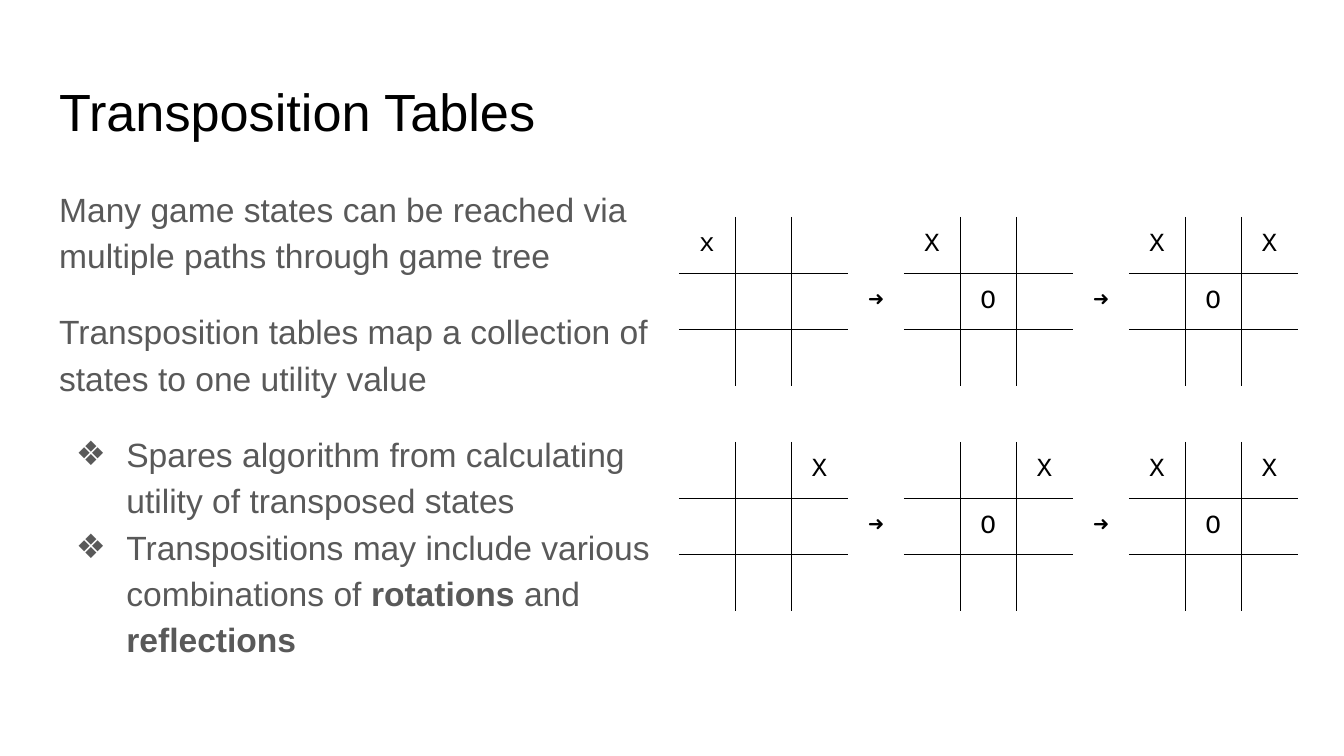
import lxml.etree
import pptx
import pptx.dml.color
import pptx.enum.text
import pptx.oxml.ns
import pptx.util

Pt = pptx.util.Pt
qn = pptx.oxml.ns.qn

BLACK = "000000"
GREY = "595959"
CELL_SIZE = 30.14
BOARD_SIZE = 3
BOARD_STEP = BOARD_SIZE + 1  # a board and the gap after it

# One string per table row; boards are separated by arrow columns and a blank row.
GAME_ROWS = [
    "x  ➜X  ➜X X",
    "     O   O ",
    "           ",
    "           ",
    "  X➜  X➜X X",
    "     O   O ",
    "           ",
]

# Bullet, space before, and runs as (text, bold)
BODY_PARAGRAPHS = [
    (None, 0, [("Many game states can be reached via multiple paths through game tree", False)]),
    (None, 16, [("Transposition tables map a collection of states to one utility value", False)]),
    ("❖", 16, [("Spares algorithm from calculating utility of transposed states", False)]),
    ("❖", 0, [("Transpositions may include various combinations of ", False),
               ("rotations", True), (" and ", False), ("reflections", True)]),
]


def color(hex_value):
    return pptx.dml.color.RGBColor.from_string(hex_value)


def set_font(font, name, size, hex_value):
    font.name = name
    font.size = Pt(size)
    font.color.rgb = color(hex_value)


def place(shape, left, top, width, height):
    shape.left, shape.top = Pt(left), Pt(top)
    shape.width, shape.height = Pt(width), Pt(height)


def set_frame(text_frame):
    text_frame.margin_left = text_frame.margin_right = Pt(7.2)
    text_frame.margin_top = text_frame.margin_bottom = Pt(7.2)
    text_frame.vertical_anchor = pptx.enum.text.MSO_ANCHOR.TOP
    text_frame.auto_size = pptx.enum.text.MSO_AUTO_SIZE.NONE
    text_frame.word_wrap = True


def set_bullet(paragraph, bullet):
    """Give the paragraph a hanging bullet, or none and no indent."""
    properties = paragraph._p.get_or_add_pPr()
    properties.set("marL", str(Pt(36 if bullet else 0)))
    properties.set("indent", str(Pt(-27 if bullet else 0)))
    if bullet:
        bullet_color = lxml.etree.Element(qn("a:buClr"))
        lxml.etree.SubElement(bullet_color, qn("a:srgbClr"), val=GREY)
        marker = lxml.etree.Element(qn("a:buChar"), char=bullet)
        elements = [bullet_color, marker]
    else:
        elements = [lxml.etree.Element(qn("a:buNone"))]
    for element in elements:
        properties.append(element)


def fill_title(title):
    place(title, 24.5, 35, 671, 45)
    set_frame(title.text_frame)
    title.text_frame.text = "Transposition Tables"
    paragraph = title.text_frame.paragraphs[0]
    paragraph.alignment = pptx.enum.text.PP_ALIGN.LEFT
    set_font(paragraph.font, "Arial", 28, BLACK)


def fill_body(body):
    place(body, 24.5, 90.75, 339.1, 269)
    text_frame = body.text_frame
    set_frame(text_frame)
    for index, (bullet, space_before, runs) in enumerate(BODY_PARAGRAPHS):
        paragraph = text_frame.add_paragraph() if index else text_frame.paragraphs[0]
        paragraph.line_spacing = 1.15
        paragraph.space_before = Pt(space_before)
        paragraph.space_after = Pt(0)
        set_bullet(paragraph, bullet)
        set_font(paragraph.font, "Arial", 18, GREY)
        for text, bold in runs:
            run = paragraph.add_run()
            run.text = text
            if bold:
                run.font.bold = True


def set_borders(cell, sides):
    """Draw the given sides ("L", "R", "T", "B") and clear the others."""
    properties = cell._tc.get_or_add_tcPr()
    for side in "LRTB":
        line = lxml.etree.SubElement(properties, qn("a:ln" + side), w=str(Pt(0.75)))
        if side in sides:
            fill = lxml.etree.SubElement(line, qn("a:solidFill"))
            lxml.etree.SubElement(fill, qn("a:srgbClr"), val=BLACK)
        else:
            lxml.etree.SubElement(line, qn("a:noFill"))


def board_sides(row, column):
    """Return the sides of a cell that lie on the inner lines of its board."""
    row, column = row % BOARD_STEP, column % BOARD_STEP
    if BOARD_SIZE in (row, column):
        return ""
    last = BOARD_SIZE - 1
    return (("L" if column > 0 else "") + ("R" if column < last else "")
            + ("T" if row > 0 else "") + ("B" if row < last else ""))


def fill_cell(cell, text, sides):
    cell.margin_top = cell.margin_bottom = Pt(0)
    cell.margin_left = cell.margin_right = Pt(7.2)
    cell.vertical_anchor = pptx.enum.text.MSO_ANCHOR.MIDDLE
    set_borders(cell, sides)
    cell.fill.background()
    cell.text = text
    paragraph = cell.text_frame.paragraphs[0]
    paragraph.alignment = pptx.enum.text.PP_ALIGN.CENTER
    set_font(paragraph.font, "Courier New", 14, BLACK)


def add_game_table(slide):
    row_count, column_count = len(GAME_ROWS), len(GAME_ROWS[0])
    table = slide.shapes.add_table(
        row_count, column_count, Pt(363.75), Pt(116.2),
        Pt(CELL_SIZE * column_count), Pt(CELL_SIZE * row_count)).table
    table.first_row = False
    table.horz_banding = False
    for line in table.columns:
        line.width = Pt(CELL_SIZE)
    for line in table.rows:
        line.height = Pt(CELL_SIZE)

    for row, marks in enumerate(GAME_ROWS):
        for column, mark in enumerate(marks):
            fill_cell(table.cell(row, column), mark.strip(), board_sides(row, column))

    for top in range(0, row_count, BOARD_STEP):
        for column in range(BOARD_SIZE, column_count, BOARD_STEP):
            table.cell(top, column).merge(table.cell(top + BOARD_SIZE - 1, column))
    table.cell(BOARD_SIZE, 0).merge(table.cell(BOARD_SIZE, column_count - 1))


def main():
    presentation = pptx.Presentation()
    presentation.slide_width = Pt(720)
    presentation.slide_height = Pt(405)
    slide = presentation.slides.add_slide(presentation.slide_layouts[1])
    fill_title(slide.shapes.title)
    fill_body(slide.placeholders[1])
    add_game_table(slide)
    presentation.save("out.pptx")


if __name__ == "__main__":
    main()
